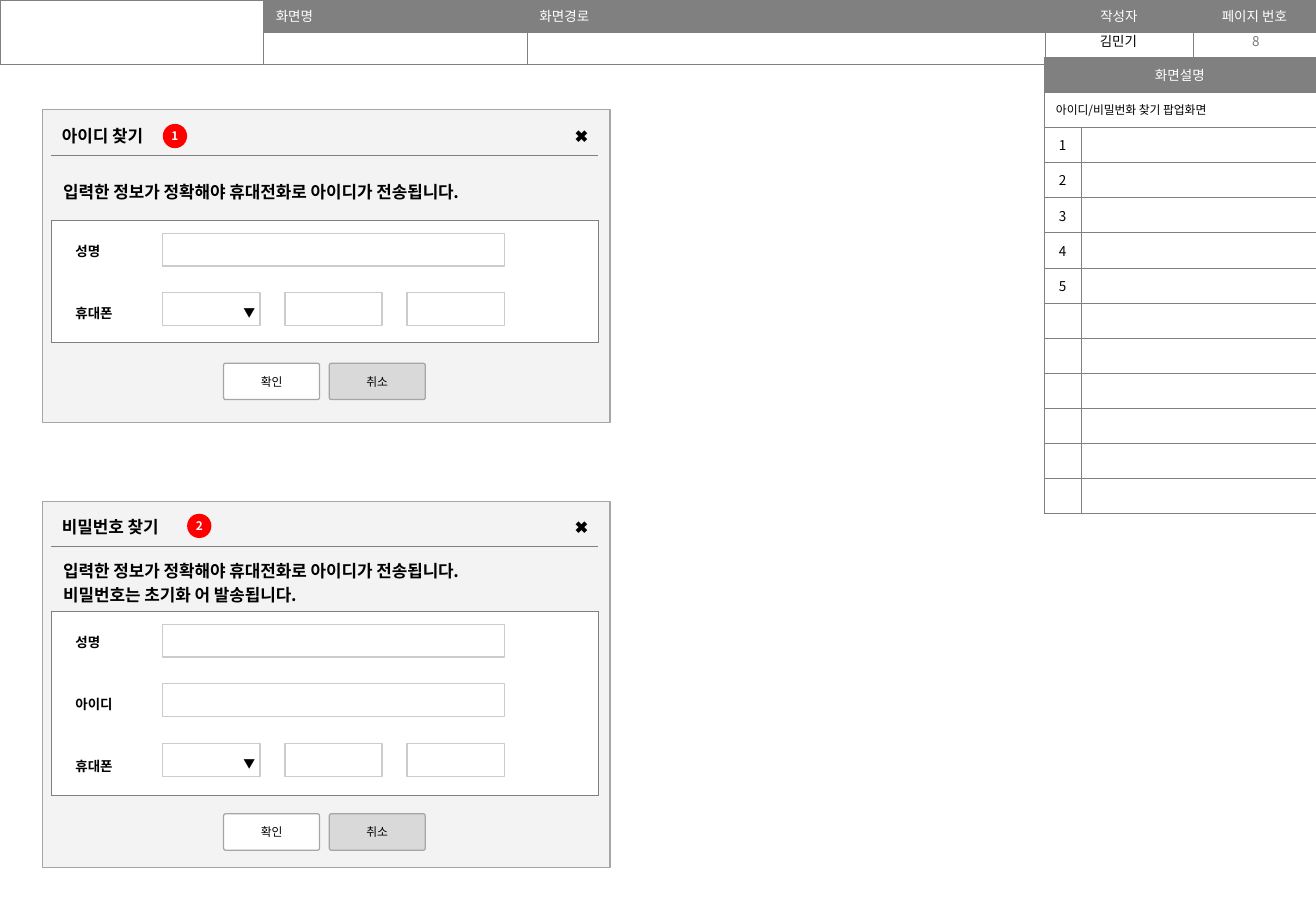
from lxml.etree import SubElement
from pptx import Presentation
from pptx.dml.color import RGBColor
from pptx.enum.shapes import MSO_CONNECTOR as CONNECTOR, MSO_SHAPE as SHAPE
from pptx.enum.text import MSO_ANCHOR as ANCHOR, PP_ALIGN as ALIGN
from pptx.oxml.ns import qn
from pptx.util import Inches, Pt

# Content
FONT = "Noto Sans CJK KR"
GRAY, WHITE, BLACK = "808080", "FFFFFF", "000000"
HEADERS = ["", "화면명", "화면경로", "작성자", "페이지 번호"]
AUTHOR, PAGE = "김민기", "8"
PANEL_TITLE, PANEL_NOTE = "화면설명", "아이디/비밀번화 찾기 팝업화면"
PANEL_ROWS, NUMBERED_ROWS = 11, 5
SENT = "입력한 정보가 정확해야 휴대전화로 아이디가 전송됩니다."
POPUPS = [
    {"title": "아이디 찾기", "number": "1", "message": [SENT],
     "fields": ["성명", "휴대폰"], "top": 0.9, "height": 2.58,
     "form_top": 1.34, "button_top": 2.99, "badge": (1.34, 1.02)},
    {"title": "비밀번호 찾기", "number": "2",
     "message": [SENT, "비밀번호는 초기화 어 발송됩니다."],
     "fields": ["성명", "아이디", "휴대폰"], "top": 4.13, "height": 3.01,
     "form_top": 4.56, "button_top": 6.7, "badge": (1.54, 4.23)},
]
BUTTONS = [("확인", WHITE), ("취소", "D9D9D9")]

# Layout
HEADER_COLUMNS = [2.17, 2.17, 4.26, 1.22, 1.01]
FORM_LEFT, FORM_COLUMNS = 0.42, [1.07, 3.43]
MESSAGE_HEIGHT, ROW_HEIGHT, LAST_ROW_HEIGHT = 0.47, 0.51, 0.5
FIELD_LEFT, FIELD_OFFSET, FIELD_STEP = 1.34, 0.58, 0.49
FIELD_WIDTH, PHONE_WIDTH, PHONE_STEP, FIELD_HEIGHT = 2.81, 0.8, 1.005, 0.27

presentation = Presentation()
presentation.slide_width, presentation.slide_height = Inches(10.83), Inches(7.5)
slide = presentation.slides.add_slide(presentation.slide_layouts[6])


def color(value):
    return RGBColor.from_string(value)


def write(frame, lines, size=8, ink=BLACK, bold=False, align=ALIGN.LEFT, spacing=None):
    for index, line in enumerate(lines):
        paragraph = frame.paragraphs[0] if index == 0 else frame.add_paragraph()
        paragraph.alignment = align
        if spacing:
            paragraph.line_spacing = spacing
        if not line:
            SubElement(paragraph._p, qn("a:endParaRPr"), sz=str(size * 100))
            continue
        run = paragraph.add_run()
        run.text = line
        formats = {"size": Pt(size), "bold": bold, "name": FONT}
        for name, value in formats.items():
            setattr(run.font, name, value)
        run.font.color.rgb = color(ink)
        SubElement(run._r.get_or_add_rPr(), qn("a:ea"), typeface=FONT)


def set_margins(target, horizontal, vertical):
    for side in ("left", "right"):
        setattr(target, f"margin_{side}", Inches(horizontal))
    for side in ("top", "bottom"):
        setattr(target, f"margin_{side}", Inches(vertical))


def add_box(left, top, width, height, fill=None, line=None, corner=0,
            text="", margins=(0, 0), align=ALIGN.CENTER, **style):
    shape = slide.shapes.add_shape(SHAPE.ROUNDED_RECTANGLE, Inches(left), Inches(top),
                                   Inches(width), Inches(height))
    shape.adjustments[0] = corner
    shape.shadow.inherit = False
    if fill:
        shape.fill.solid()
        shape.fill.fore_color.rgb = color(fill)
    else:
        shape.fill.background()
    if line:
        shape.line.color.rgb = color(line)
        shape.line.width = Pt(0.75)
    else:
        shape.line.fill.background()
    if text:
        frame = shape.text_frame
        frame.vertical_anchor = ANCHOR.MIDDLE
        set_margins(frame, *margins)
        write(frame, [text], align=align, **style)


def add_label(left, top, width, height, text, anchor, ink):
    frame = slide.shapes.add_textbox(Inches(left), Inches(top), Inches(width),
                                     Inches(height)).text_frame
    frame.word_wrap = True
    frame.vertical_anchor = anchor
    write(frame, [text], ink=ink, align=ALIGN.CENTER)


def add_grid(left, top, columns, rows):
    table = slide.shapes.add_table(len(rows), len(columns), Inches(left), Inches(top),
                                   Inches(sum(columns)), Inches(sum(rows))).table
    table.first_row = table.horz_banding = False
    for column, width in zip(table.columns, columns):
        column.width = Inches(width)
    for row, height in zip(table.rows, rows):
        row.height = Inches(height)
    return table


def format_cell(cell, lines=("",), fill=None, edges="LRTB", anchor=ANCHOR.MIDDLE,
                margins=(0.1, 0.05), **style):
    properties = cell._tc.get_or_add_tcPr()
    for side in "LRTB":
        border = SubElement(properties, qn(f"a:ln{side}"), w=str(Pt(0.25)))
        if side in edges:
            solid = SubElement(border, qn("a:solidFill"))
            SubElement(solid, qn("a:srgbClr"), val=GRAY)
        else:
            SubElement(border, qn("a:noFill"))
    if fill:
        cell.fill.solid()
        cell.fill.fore_color.rgb = color(fill)
    else:
        cell.fill.background()
    cell.vertical_anchor = anchor
    set_margins(cell, *margins)
    write(cell.text_frame, lines, **style)


def add_popup(popup):
    form_top, fields = popup["form_top"], popup["fields"]
    title_top, rule_top = form_top - 0.37, form_top - 0.06

    # Card, title, close mark, buttons and rule
    add_box(0.35, popup["top"], 4.67, popup["height"], "F3F3F3", "A6A6A6")
    add_box(0.51, title_top, 3.94, 0.3, text=popup["title"], size=10, bold=True,
            align=ALIGN.LEFT)
    add_box(4.65, title_top, 0.27, 0.3, text="✖", size=10)
    for index, (caption, fill) in enumerate(BUTTONS):
        add_box(1.84 + 0.87 * index, popup["button_top"], 0.79, 0.3, fill, "A6A6A6",
                0.058, caption, (0.1, 0.1), size=7)
    rule = slide.shapes.add_connector(
        CONNECTOR.STRAIGHT, Inches(FORM_LEFT), Inches(rule_top),
        Inches(FORM_LEFT + sum(FORM_COLUMNS)), Inches(rule_top))
    rule.line.color.rgb = color(GRAY)
    rule.line.width = Pt(0.5)
    SubElement(rule._element.spPr, qn("a:effectLst"))

    # Form table
    last = len(fields) - 1
    rows = [MESSAGE_HEIGHT] + [ROW_HEIGHT] * last + [LAST_ROW_HEIGHT]
    table = add_grid(FORM_LEFT, form_top, FORM_COLUMNS, rows)
    table.cell(0, 0).merge(table.cell(0, 1))
    format_cell(table.cell(0, 0), popup["message"], edges="B", margins=(0.1, 0.03),
                size=10, bold=True)
    format_cell(table.cell(0, 1), edges="B")
    for index, field in enumerate(fields):
        outer = ("T" if index == 0 else "") + ("B" if index == last else "")
        format_cell(table.cell(index + 1, 0), [field], WHITE, "L" + outer,
                    margins=(0.2, 0.05), bold=True)
        format_cell(table.cell(index + 1, 1), fill=WHITE, edges="R" + outer)

    # Input fields: the last row is the three-part phone number
    for index in range(len(fields)):
        top = form_top + FIELD_OFFSET + FIELD_STEP * index
        if index < last:
            add_box(FIELD_LEFT, top, FIELD_WIDTH, FIELD_HEIGHT, WHITE, "CCCCCC")
            continue
        for part in range(3):
            add_box(FIELD_LEFT + PHONE_STEP * part, top, PHONE_WIDTH, FIELD_HEIGHT,
                    WHITE, "CCCCCC", text="▼" if part == 0 else "",
                    margins=(0.04, 0.1), align=ALIGN.RIGHT, size=7, spacing=1.5)


# Page header
header = add_grid(0, 0, HEADER_COLUMNS, [0.265, 0.265])
header.cell(0, 0).merge(header.cell(1, 0))
for index, caption in enumerate(HEADERS):
    format_cell(header.cell(0, index), [caption], GRAY if caption else None,
                anchor=ANCHOR.TOP, ink=WHITE,
                align=ALIGN.CENTER if index > 2 else ALIGN.LEFT)
    format_cell(header.cell(1, index))
add_label(8.59, 0.22, 1.23, 0.24, AUTHOR, ANCHOR.TOP, BLACK)
add_label(9.83, 0.22, 1.01, 0.24, PAGE, ANCHOR.MIDDLE, "797979")

# Popups
for popup in POPUPS:
    add_popup(popup)

# Description panel
panel = add_grid(8.59, 0.47, [0.31, 1.93], [3.76 / 13] * (PANEL_ROWS + 2))
for row in range(2):
    panel.cell(row, 0).merge(panel.cell(row, 1))
    format_cell(panel.cell(row, 1))
format_cell(panel.cell(0, 0), [PANEL_TITLE], GRAY, ink=WHITE, align=ALIGN.CENTER)
format_cell(panel.cell(1, 0), [PANEL_NOTE], WHITE, size=7)
for number in range(1, PANEL_ROWS + 1):
    label = str(number) if number <= NUMBERED_ROWS else ""
    format_cell(panel.cell(number + 1, 0), [label], WHITE, align=ALIGN.CENTER)
    format_cell(panel.cell(number + 1, 1), fill=WHITE)

# Numbered badges
for popup in POPUPS:
    add_box(*popup["badge"], 0.2, 0.2, "FF0000", corner=0.5, text=popup["number"],
            size=7, ink=WHITE, bold=True)

presentation.save("out.pptx")
